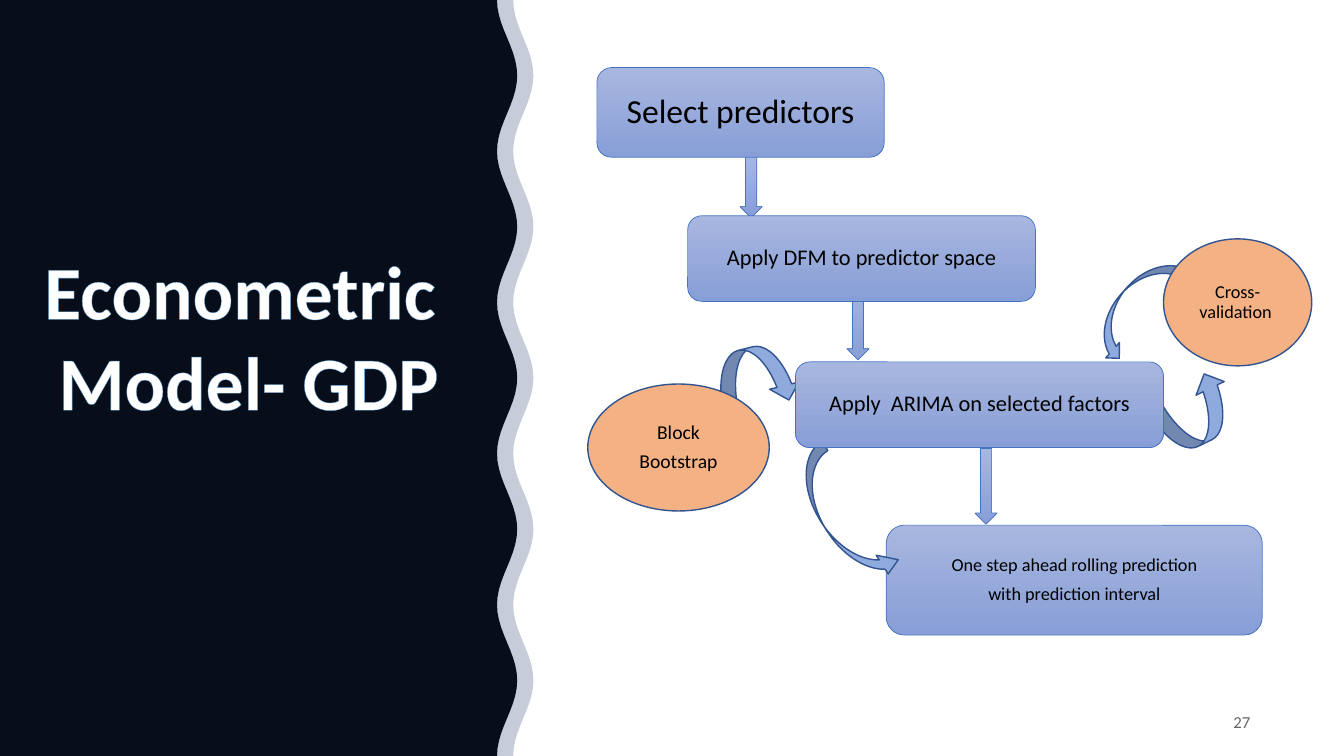
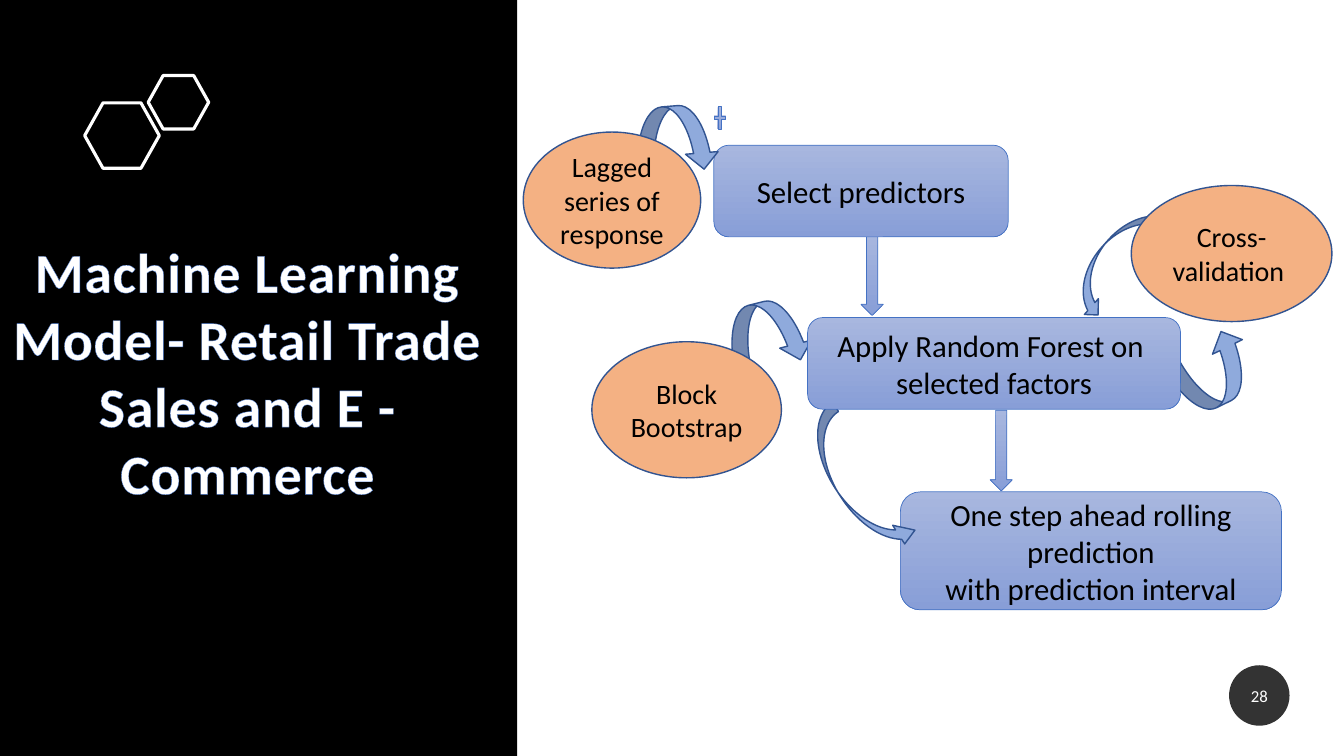
from math import cos, pi

from lxml.etree import SubElement
from pptx import Presentation
from pptx.dml.color import RGBColor
from pptx.enum.shapes import MSO_SHAPE as Preset
from pptx.enum.text import MSO_ANCHOR as Anchor, MSO_AUTO_SIZE as AutoSize, PP_ALIGN as Align
from pptx.oxml.ns import qn
from pptx.util import Inches, Pt

# Shared look
FONT = "Calibri"
BLACK = RGBColor(0x00, 0x00, 0x00)
WHITE = RGBColor(0xFF, 0xFF, 0xFF)
NAVY = RGBColor(0x20, 0x38, 0x64)
STEP_TOP = RGBColor(0xA8, 0xB7, 0xDF)
STEP_BOTTOM = RGBColor(0x88, 0x9E, 0xD7)
STEP_EDGE = RGBColor(0x44, 0x72, 0xC4)
CURVE_BLUE = RGBColor(0x8F, 0xAA, 0xDC)
CURVE_EDGE = RGBColor(0x32, 0x54, 0x91)
ORANGE = RGBColor(0xF4, 0xB1, 0x83)
SKY_EDGE = "5B9BD5"
BLUE_EDGE = "4472C4"

SLIDE_WIDTH, SLIDE_HEIGHT = 13.33, 7.5
PANEL_WIDTH = 5.13
WAVE_COUNT, WAVE_DEPTH, WAVE_STEPS = 5, 0.2, 100

# Kind of flow part: preset and fill (None means the step gradient)
KINDS = {
    "step": (Preset.ROUNDED_RECTANGLE, None),
    "down": (Preset.DOWN_ARROW, None),
    "plus": (Preset.MATH_PLUS, None),
    "note": (Preset.OVAL, ORANGE),
    "curve right": (Preset.CURVED_RIGHT_ARROW, CURVE_BLUE),
    "curve down": (Preset.CURVED_DOWN_ARROW, CURVE_BLUE),
    "curve up": (Preset.CURVED_UP_ARROW, CURVE_BLUE),
}

# Flow parts, back to front: kind, (left, top, width, height),
# then (lines, size) for boxes or the rotation for curved arrows
PREDICTION = ["One step ahead rolling prediction", "with prediction interval"]
BOOTSTRAP = ["Block", "Bootstrap"]
VALIDATION = ["Cross- validation "]

GDP_FLOW = [
    ("step", (8.79, 5.21, 3.73, 1.09), (PREDICTION, 13)),
    ("down", (7.34, 1.54, 0.22, 0.62), 0),
    ("down", (8.4, 2.82, 0.22, 0.75), 0),
    ("down", (9.67, 4.45, 0.22, 0.75), 0),
    ("curve right", (11.54, 3.69, 0.62, 0.82), 244),
    ("curve right", (11.08, 2.43, 0.41, 1.22), 41.7),
    ("note", (11.54, 2.37, 1.47, 1.26), (VALIDATION, 13)),
    ("curve down", (7.1, 3.44, 0.81, 0.6), 345.9),
    ("note", (5.83, 3.81, 1.8, 1.26), (BOOTSTRAP, 14)),
    ("curve up", (7.62, 4.91, 1.51, 0.44), 57.2),
    ("step", (7.89, 3.59, 3.65, 0.85), (["Apply  ARIMA on selected factors"], 16)),
    ("step", (5.92, 0.67, 2.85, 0.89), (["Select predictors"], 24)),
    ("step", (6.82, 2.14, 3.45, 0.85), (["Apply DFM to predictor space"], 16)),
]

RETAIL_FLOW = [
    ("step", (8.93, 4.88, 3.78, 1.17), (PREDICTION, 22)),
    ("down", (8.54, 2.33, 0.22, 0.8), 0),
    ("down", (9.82, 4.07, 0.22, 0.8), 0),
    ("curve right", (11.7, 3.28, 0.66, 0.83), 244),
    ("curve right", (10.89, 1.92, 0.42, 1.31), 41.7),
    ("note", (11.22, 1.84, 1.99, 1.35), (VALIDATION, 20)),
    ("curve down", (7.21, 2.99, 0.82, 0.65), 345.9),
    ("note", (5.87, 3.39, 1.88, 1.35), (BOOTSTRAP, 20)),
    ("curve up", (7.7, 4.57, 1.62, 0.44), 57.2),
    ("step", (7.08, 1.44, 2.92, 0.91), (["Select predictors"], 22)),
    ("step", (8.01, 3.15, 3.7, 0.91), (["Apply Random Forest on ", "selected factors"], 22)),
    ("curve down", (6.3, 1.05, 0.82, 0.65), 355.3),
    ("plus", (7.06, 1.02, 0.16, 0.3), 0),
    ("note", (5.19, 1.31, 1.76, 1.35), (["Lagged series of response"], 20)),
]

HEXAGONS = [(0.84, 1.02, 0.74, 0.65), (1.47, 0.75, 0.6, 0.53)]


def place(frame):
    return [Inches(length) for length in frame]


def set_opacity(fill_parent, percent):
    color = fill_parent.find(".//" + qn("a:srgbClr"))
    SubElement(color, qn("a:alpha"), val=str(percent * 1000))


def paint(shape, fill=None, edge=None, weight=1):
    """Solid fill, or no fill for None; an edge only when a colour is given."""
    shape.shadow.inherit = False
    if fill is None:
        shape.fill.background()
    else:
        shape.fill.solid()
        shape.fill.fore_color.rgb = fill
    if edge is None:
        shape.line.fill.background()
    else:
        shape.line.color.rgb = edge
        shape.line.width = Pt(weight)


def paint_step(shape):
    paint(shape, None, STEP_EDGE, 0.5)
    shape.fill.gradient()
    shape.fill.gradient_angle = 270
    for stop, color in zip(shape.fill.gradient_stops, (STEP_TOP, STEP_BOTTOM)):
        stop.color.rgb = color


def write(shape, lines, size, color=BLACK, align=Align.CENTER, anchor=Anchor.MIDDLE,
          spacing=None, after=0, bold=False, wrap=True):
    frame = shape.text_frame
    frame.word_wrap = wrap
    frame.vertical_anchor = anchor
    for index, line in enumerate(lines):
        para = frame.paragraphs[0] if index == 0 else frame.add_paragraph()
        para.add_run().text = line
        para.alignment = align
        para.line_spacing = spacing
        para.space_after = Pt(after)
        para.font.name = FONT
        para.font.size = Pt(size)
        para.font.bold = bold
        para.font.color.rgb = color


def add_title(page, frame, lines, size, edge, weight, wrap, shadow=False):
    """Bold white title with outlined letters, optionally shadowed."""
    box = page.shapes.add_textbox(*place(frame))
    write(box, lines, size, WHITE, anchor=Anchor.TOP, bold=True, wrap=wrap)
    box.text_frame.auto_size = AutoSize.SHAPE_TO_FIT_TEXT
    for para in box.text_frame.paragraphs:
        for span in para.runs:
            look = span._r.get_or_add_rPr()
            outline = SubElement(look, qn("a:ln"), w=str(Pt(weight)))
            SubElement(SubElement(outline, qn("a:solidFill")), qn("a:srgbClr"), val=edge)
            if shadow:
                look.set("spc", "50")
                effects = SubElement(look, qn("a:effectLst"))
                cast = SubElement(effects, qn("a:outerShdw"), blurRad="0",
                                  dist=str(Pt(3)), dir="2700000")
                SubElement(cast, qn("a:srgbClr"), val=edge)


def add_flow(page, parts, spacing=None, after=0):
    for kind, frame, extra in parts:
        preset, fill = KINDS[kind]
        shape = page.shapes.add_shape(preset, *place(frame))
        if fill is None:
            paint_step(shape)
        else:
            paint(shape, fill, CURVE_EDGE)
        if kind == "curve up":
            shape.adjustments[2] = 0.364
        if isinstance(extra, tuple):
            lines, size = extra
            write(shape, lines, size, spacing=spacing, after=after)
        else:
            shape.rotation = extra


def add_wave(page, width, color):
    """Left panel whose right edge is a regular wave reaching the given width."""
    edge = []
    for step in range(WAVE_STEPS + 1):
        share = step / WAVE_STEPS
        dip = WAVE_DEPTH / 2 * (1 + cos(2 * pi * WAVE_COUNT * share))
        edge.append((Inches(width - dip), Inches(SLIDE_HEIGHT * share)))
    builder = page.shapes.build_freeform(0, 0)
    builder.add_line_segments(edge + [(0, Inches(SLIDE_HEIGHT))], close=True)
    wave = builder.convert_to_shape()
    paint(wave, color)
    return wave


def build_gdp(page):
    # Wavy panel and its translucent rim
    add_wave(page, PANEL_WIDTH, BLACK)
    rim = add_wave(page, PANEL_WIDTH + 0.16, NAVY)
    set_opacity(rim._element.spPr, 25)
    # Page number
    number = page.shapes.add_textbox(*place((11.34, 6.97, 1.16, 0.38)))
    write(number, ["27"], 12, align=Align.RIGHT, after=6)
    set_opacity(number._element.txBody, 60)
    # Flow and title
    add_flow(page, GDP_FLOW, spacing=0.9, after=6)
    add_title(page, (0.32, 2.37, 4.29, 1.92), ["Econometric ", "Model- GDP"],
              54, SKY_EDGE, 0.8, wrap=False)


def build_retail(page):
    # Black panel with hexagons
    panel = page.shapes.add_shape(Preset.RECTANGLE, *place((0, 0, PANEL_WIDTH, SLIDE_HEIGHT)))
    paint(panel, BLACK)
    for frame in HEXAGONS:
        hexagon = page.shapes.add_shape(Preset.HEXAGON, *place(frame))
        hexagon.adjustments[0] = 0.28
        paint(hexagon, None, WHITE, 2.25)
        SubElement(hexagon._element.spPr.find(qn("a:ln")), qn("a:round"))
    # Page number badge
    badge = page.shapes.add_shape(Preset.OVAL, *place((12.19, 6.6, 0.6, 0.6)))
    paint(badge, BLACK)
    set_opacity(badge._element.spPr, 80)
    write(badge, ["28"], 12, WHITE, after=6)
    # Title and flow
    add_title(page, (-0.28, 2.3, 5.47, 2.79),
              ["Machine Learning Model- Retail Trade Sales and E - Commerce"],
              40, BLUE_EDGE, 0.75, wrap=True, shadow=True)
    add_flow(page, RETAIL_FLOW)


def main():
    deck = Presentation()
    deck.slide_width, deck.slide_height = Inches(SLIDE_WIDTH), Inches(SLIDE_HEIGHT)
    for build in (build_gdp, build_retail):
        build(deck.slides.add_slide(deck.slide_layouts[6]))
    deck.save("out.pptx")


if __name__ == "__main__":
    main()
